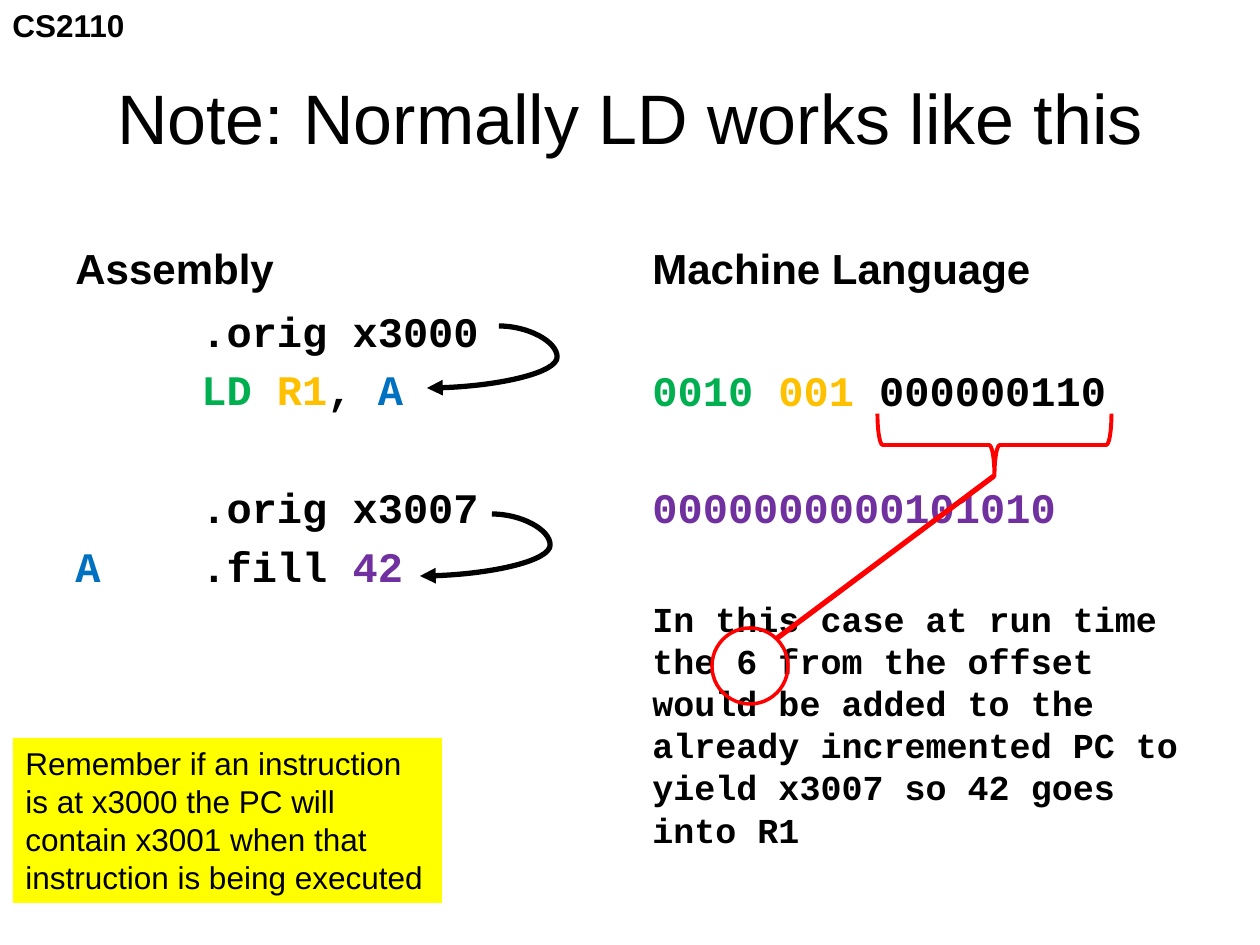
import pptx
import pptx.dml.color
import pptx.enum.shapes
import pptx.enum.text
import pptx.oxml
import pptx.oxml.ns
import pptx.util

PX = 914400 / 126
BLACK, RED, GREEN, GOLD = "000000", "FF0000", "00B050", "FFC000"
BLUE, PURPLE, YELLOW = "0070C0", "7030A0", "FFFF00"
ANCHOR = pptx.enum.text.MSO_ANCHOR
FIT = pptx.enum.text.MSO_AUTO_SIZE
SHAPE = pptx.enum.shapes.MSO_SHAPE
LINK = pptx.enum.shapes.MSO_CONNECTOR
DRAW = pptx.oxml.ns.nsdecls("a")


def tint(fill, code):
    """Make a fill solid in the colour of a hex string."""
    fill.solid()
    fill.fore_color.rgb = pptx.dml.color.RGBColor.from_string(code)


def write(shape, lines, font, frame):
    """Fill a shape with lines of (gap, size, runs) and format its text."""
    text = shape.text_frame
    for name, value in frame.items():
        setattr(text, name, value)
    for row, (gap, size, runs) in enumerate(lines):
        para = text.add_paragraph() if row else text.paragraphs[0]
        para.space_before = pptx.util.Pt(gap)
        for words, code in runs:
            run = para.add_run()
            run.text = words
            for name, value in font.items():
                setattr(run.font, name, value)
            run.font.size = pptx.util.Pt(size)
            tint(run.font.fill, code)
        if "\t" in para.text:
            para._p.get_or_add_pPr().append(pptx.oxml.parse_xml(
                f'<a:tabLst {DRAW}><a:tab pos="914400" algn="l"/></a:tabLst>'))


deck = pptx.Presentation()
deck.slide_width = round(1260 * PX)
deck.slide_height = round(945 * PX)
slide = deck.slides.add_slide(deck.slide_layouts[5])
shapes = slide.shapes

plain = {"name": "Arial", "bold": False}
strong = {"name": "Arial", "bold": True}
mono = {"name": "Courier New", "bold": True}

# Title
title = shapes.title
spot = {"left": 63, "top": 38, "width": 1134, "height": 157}
for name, value in spot.items():
    setattr(title, name, round(value * PX))
write(title, [(0, 40, [("Note: Normally LD works like this", BLACK)])],
      plain, {"vertical_anchor": ANCHOR.MIDDLE, "word_wrap": True})
title.text_frame.paragraphs[0].alignment = pptx.enum.text.PP_ALIGN.CENTER

# Text boxes: a skipped line is a gap of one line plus the usual gap
GAP = 4.8
SKIP = GAP + 24 * 1.2 + GAP
code = [
    (0, 24, [("\t.orig x3000", BLACK)]),
    (GAP, 24, [("\t", BLACK), ("LD ", GREEN), ("R1", GOLD),
               (", ", BLACK), ("A", BLUE)]),
    (SKIP, 24, [("\t.orig x3007", BLACK)]),
    (GAP, 24, [("A", BLUE), ("\t.fill ", BLACK), ("42", PURPLE)]),
]
bits = [
    (0, 24, [("0010 ", GREEN), ("001", GOLD), (" 000000110", BLACK)]),
    (SKIP, 24, [("0000000000101010", PURPLE)]),
    (SKIP - 0.8, 20, [("In this case at run time the 6 from the offset would "
                       "be added to the already incremented PC to yield "
                       "x3007 so 42 goes into R1", BLACK)]),
]
note = ("Remember if an instruction is at x3000 the PC will contain x3001 "
        "when that instruction is being executed")
head = {"word_wrap": True, "vertical_anchor": ANCHOR.BOTTOM}
body = {"word_wrap": True, "vertical_anchor": ANCHOR.TOP}
tag = {"word_wrap": False, "auto_size": FIT.SHAPE_TO_FIT_TEXT}
memo = {"word_wrap": True, "auto_size": FIT.SHAPE_TO_FIT_TEXT}
boxes = [
    ((0, 0, 139, 50), [(0, 18, [("CS2110", BLACK)])], strong, tag, None),
    ((63, 211, 557, 88), [(0, 24, [("Assembly", BLACK)])],
     strong, head, None),
    ((63, 299, 557, 544), code, mono, body, None),
    ((640, 211, 557, 88), [(0, 24, [("Machine Language", BLACK)])],
     strong, head, None),
    ((640, 358, 557, 552), bits, mono, body, None),
    ((13, 738, 429, 165), [(0, 18, [(note, BLACK)])], plain, memo, YELLOW),
]
for place, lines, font, frame, back in boxes:
    box = shapes.add_textbox(*[round(n * PX) for n in place])
    write(box, lines, font, frame)
    if back:
        tint(box.fill, back)

# Brace under the offset and ring round the 6
marks = [
    (SHAPE.LEFT_BRACE, (963, 328, 63, 234), 270, 2.25),
    (SHAPE.OVAL, (712, 628, 76, 76), 0, 2),
]
for kind, place, turn, width in marks:
    mark = shapes.add_shape(kind, *[round(n * PX) for n in place])
    mark.rotation = turn
    mark.shadow.inherit = False
    mark.fill.background()
    mark.line.width = pptx.util.Pt(width)
    tint(mark.line.fill, RED)

# Red link and the two curved arrows
links = [
    (LINK.STRAIGHT, (776, 639, 994, 476), RED),
    (LINK.CURVE, (499, 326, 427, 388), BLACK),
    (LINK.CURVE, (492, 514, 420, 576), BLACK),
]
for kind, ends, shade in links:
    link = shapes.add_connector(kind, *[round(n * PX) for n in ends])
    link.line.width = pptx.util.Pt(3)
    tint(link.line.fill, shade)
    props = link._element.spPr
    props.append(pptx.oxml.parse_xml(f"<a:effectLst {DRAW}/>"))
    if kind == LINK.CURVE:
        bend = props.find(".//" + pptx.oxml.ns.qn("a:avLst"))
        bend.append(pptx.oxml.parse_xml(
            f'<a:gd {DRAW} name="adj1" fmla="val -80900"/>'))
        link.line._ln.append(pptx.oxml.parse_xml(
            f'<a:tailEnd {DRAW} type="triangle"/>'))

deck.save("out.pptx")
